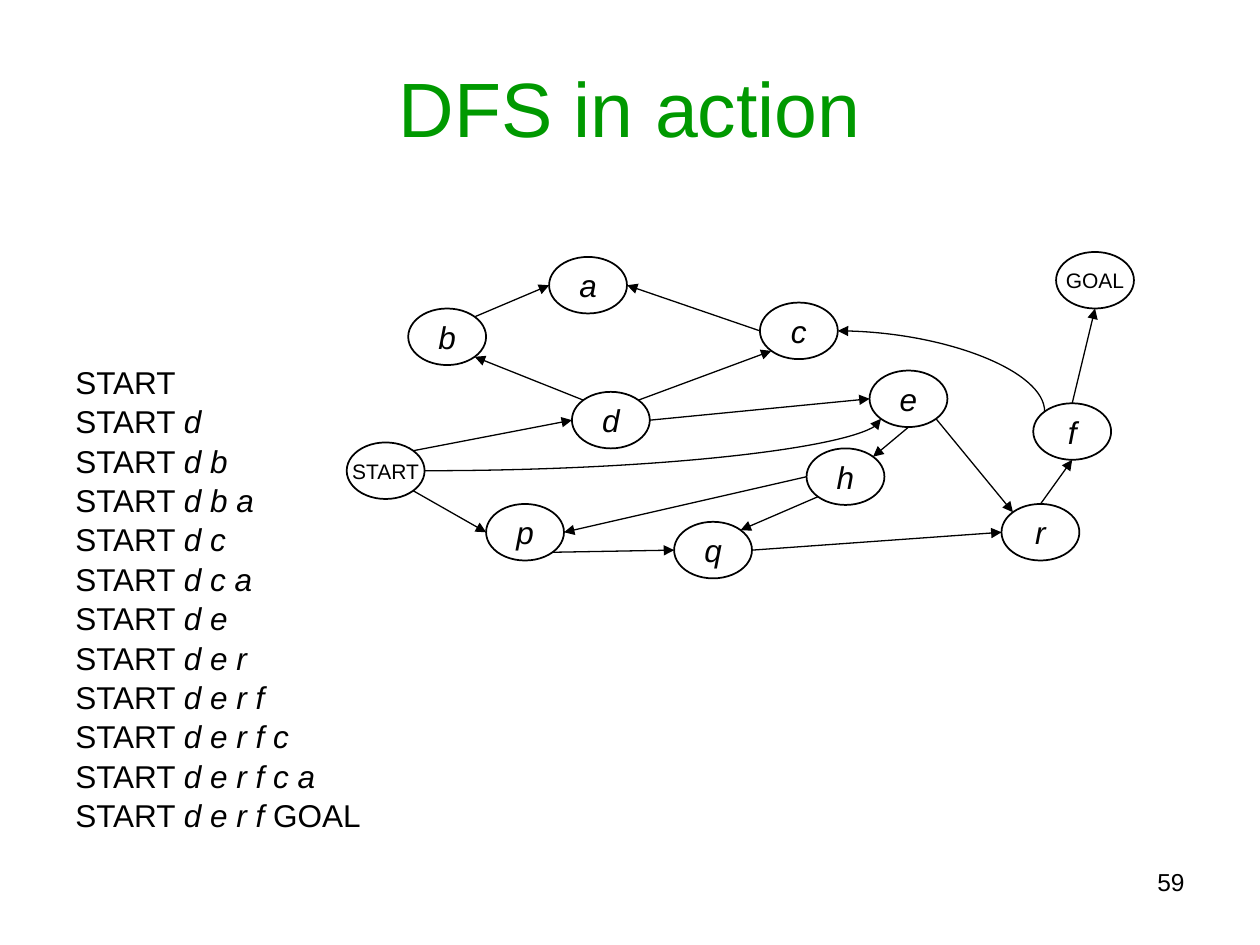
"""Build the slide that traces a depth-first search through a graph."""
import pptx
import pptx.dml.color
import pptx.enum.shapes
import pptx.enum.text
import pptx.oxml.ns
import pptx.util
from lxml import etree

Cm, Pt = pptx.util.Cm, pptx.util.Pt
ALIGN = pptx.enum.text.PP_ALIGN
ANCHOR = pptx.enum.text.MSO_ANCHOR
CONNECTOR = pptx.enum.shapes.MSO_CONNECTOR
qn = pptx.oxml.ns.qn

BLACK, GREEN = "000000", "009900"
TITLE = "DFS in action"
PAGE_NUMBER = "59"
TRACE = ["", "d", "d b", "d b a", "d c", "d c a", "d e", "d e r",
         "d e r f", "d e r f c", "d e r f c a", "d e r f GOAL"]

NODE_WIDTH, NODE_HEIGHT = 1.57, 1.14
NODES = {
    "START": (6.99, 8.92), "GOAL": (21.29, 5.08), "d": (11.53, 7.9),
    "b": (8.23, 6.22), "p": (9.8, 10.16), "q": (13.59, 10.52),
    "c": (15.32, 6.1), "e": (17.53, 7.47), "h": (16.26, 9.04),
    "a": (11.07, 5.18), "f": (20.83, 8.13), "r": (20.19, 10.16),
}
DIAGONAL = 0.5 ** 0.5
SIDES = {
    "top": (0, -1), "bottom": (0, 1), "left": (-1, 0), "right": (1, 0),
    "top left": (-DIAGONAL, -DIAGONAL), "top right": (DIAGONAL, -DIAGONAL),
    "bottom left": (-DIAGONAL, DIAGONAL), "bottom right": (DIAGONAL, DIAGONAL),
}
STRAIGHT_EDGES = [
    ("START", "bottom right", "p", "left"),
    ("p", "bottom right", "q", "left"),
    ("h", "bottom left", "q", "top right"),
    ("h", "left", "p", "right"),
    ("e", "bottom", "h", "top right"),
    ("e", "bottom right", "r", "top left"),
    ("r", "top", "f", "bottom"),
    ("f", "top", "GOAL", "bottom"),
    ("START", "top right", "d", "left"),
    ("d", "top left", "b", "bottom right"),
    ("b", "top right", "a", "left"),
    ("c", "left", "a", "right"),
    ("d", "top right", "c", "bottom left"),
    ("d", "right", "e", "left"),
    ("q", "right", "r", "left"),
]
CURVED_EDGES = [
    ("c", "right", "f", "top left", "headEnd"),
    ("START", "right", "e", "bottom left", "tailEnd"),
]


def rgb(color):
    return pptx.dml.color.RGBColor.from_string(color)


def style(font, size, color=BLACK, italic=False):
    font.name, font.size, font.italic = "Arial", Pt(size), italic
    font.color.rgb = rgb(color)


def add_label(slide, text, box, size, color, align, anchor):
    frame = slide.shapes.add_textbox(*map(Cm, box)).text_frame
    frame.word_wrap = True
    frame.vertical_anchor = anchor
    frame.text = text
    frame.paragraphs[0].alignment = align
    style(frame.paragraphs[0].runs[0].font, size, color)


def add_trace(slide):
    frame = slide.shapes.add_textbox(Cm(1.27), Cm(7.19), Cm(22.86), Cm(9.83)).text_frame
    frame.word_wrap = True
    for index, visited in enumerate(TRACE):
        step = frame.paragraphs[0] if index == 0 else frame.add_paragraph()
        if index:
            step.space_before = Pt(0.9)
        letters, goal, _ = visited.partition("GOAL")
        pieces = [("START " if visited else "START", False), (letters, True), (goal, False)]
        for words, italic in pieces:
            if words:
                run = step.add_run()
                run.text = words
                style(run.font, 18, italic=italic)


def add_node(slide, name):
    left, top = NODES[name]
    node = slide.shapes.add_shape(
        pptx.enum.shapes.MSO_SHAPE.FLOWCHART_CONNECTOR,
        Cm(left), Cm(top), Cm(NODE_WIDTH), Cm(NODE_HEIGHT))
    node.shadow.inherit = False
    node.fill.background()
    node.line.color.rgb = rgb(BLACK)
    node.line.width = Pt(1)
    frame = node.text_frame
    frame.word_wrap = False
    frame.vertical_anchor = ANCHOR.MIDDLE
    frame.text = name
    frame.paragraphs[0].alignment = ALIGN.CENTER
    is_letter = len(name) == 1
    style(frame.paragraphs[0].runs[0].font, 18 if is_letter else 12, italic=is_letter)


def rim_point(name, side):
    left, top = NODES[name]
    across, down = SIDES[side]
    return (Cm(left + NODE_WIDTH * (1 + across) / 2),
            Cm(top + NODE_HEIGHT * (1 + down) / 2))


def add_edge(slide, start, start_side, end, end_side, arrow="tailEnd", curved=False):
    edge = slide.shapes.add_connector(
        CONNECTOR.CURVE if curved else CONNECTOR.STRAIGHT,
        *rim_point(start, start_side), *rim_point(end, end_side))
    edge.line.color.rgb = rgb(BLACK)
    edge.line.width = Pt(0.75)
    properties = edge.line._get_or_add_ln()
    etree.SubElement(properties, qn("a:" + arrow), type="triangle")
    shape_properties = properties.getparent()
    etree.SubElement(shape_properties, qn("a:effectLst"))
    if curved:
        shape_properties.find(qn("a:prstGeom")).set("prst", "curvedConnector2")


def main():
    deck = pptx.Presentation()
    deck.slide_width, deck.slide_height = Cm(25.4), Cm(19.05)
    slide = deck.slides.add_slide(deck.slide_layouts[6])
    add_label(slide, TITLE, (1.27, 0.84, 22.86, 2.62), 44, GREEN, ALIGN.CENTER, ANCHOR.MIDDLE)
    add_trace(slide)
    for name in NODES:
        add_node(slide, name)
    for edge in STRAIGHT_EDGES:
        add_edge(slide, *edge)
    for edge in CURVED_EDGES:
        add_edge(slide, *edge, curved=True)
    add_label(slide, PAGE_NUMBER, (12.27, 17.35, 11.86, 1.32), 14, BLACK, ALIGN.RIGHT, ANCHOR.TOP)
    deck.save("out.pptx")


if __name__ == "__main__":
    main()
